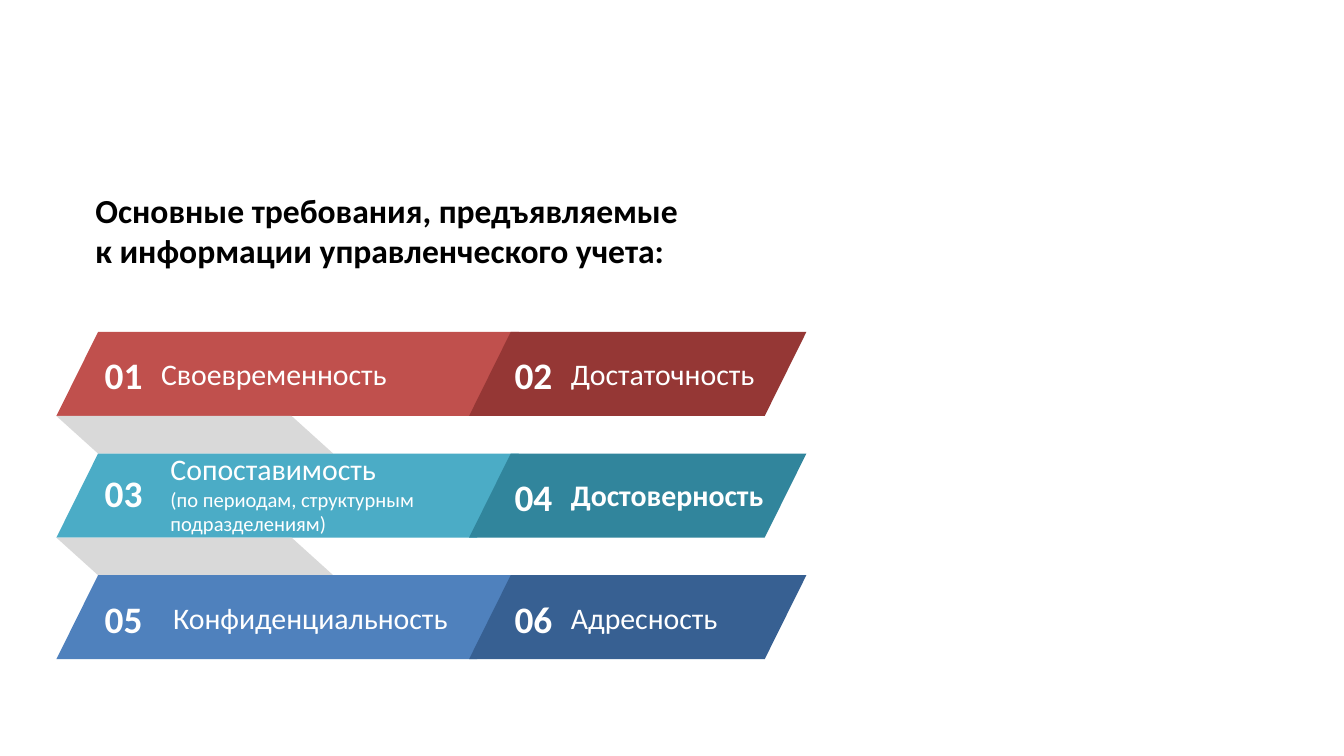
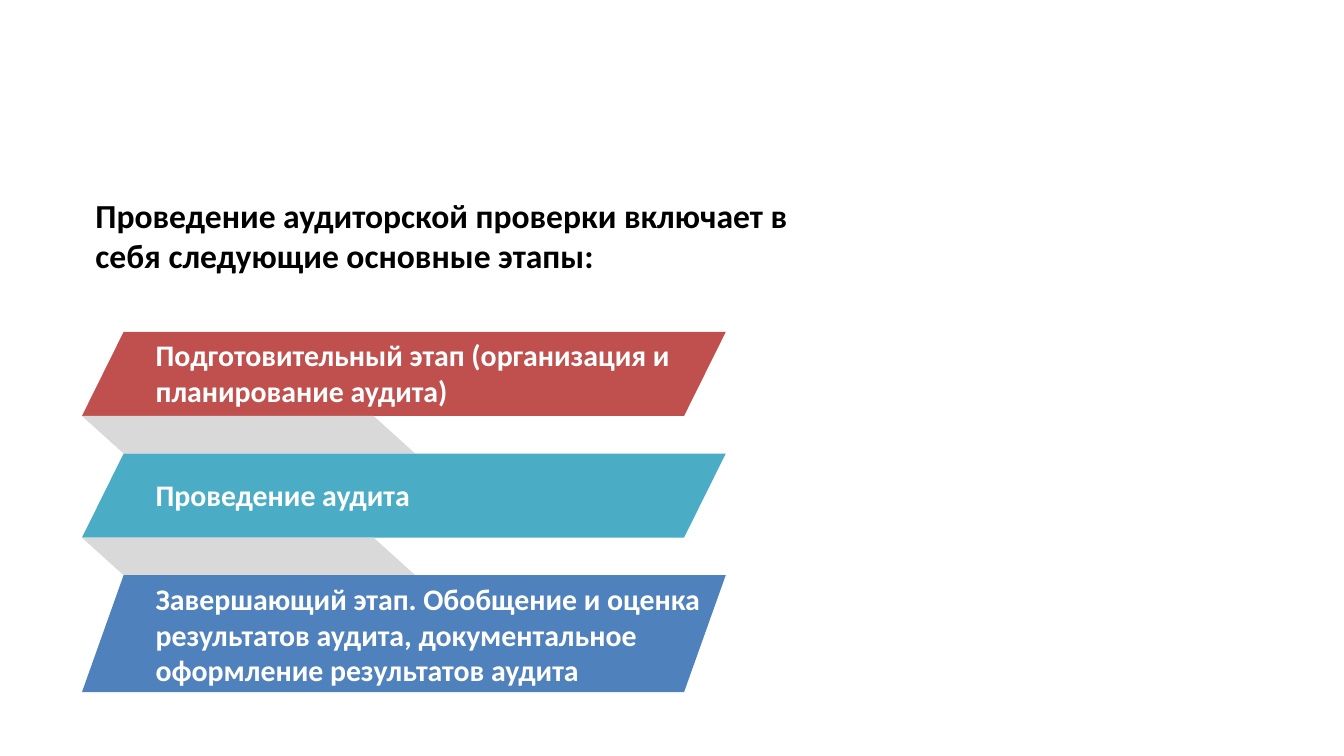
from lxml import etree
from pptx import Presentation
from pptx.dml.color import RGBColor
from pptx.enum.shapes import MSO_SHAPE
from pptx.enum.text import MSO_ANCHOR, MSO_AUTO_SIZE, PP_ALIGN
from pptx.oxml.ns import qn
from pptx.util import Inches, Pt

PARALLELOGRAM = MSO_SHAPE.PARALLELOGRAM
TOP, MIDDLE, BOTTOM = MSO_ANCHOR.TOP, MSO_ANCHOR.MIDDLE, MSO_ANCHOR.BOTTOM
LEFT, CENTER = PP_ALIGN.LEFT, PP_ALIGN.CENTER
FIT, NO_FIT = MSO_AUTO_SIZE.SHAPE_TO_FIT_TEXT, MSO_AUTO_SIZE.NONE

FONT = "Calibri"
COLORS = {
    "text": "000000", "white": "FFFFFF", "fold": "D9D9D9",
    "red": "C0504D", "teal": "4BACC6", "blue": "4F81BD",
    "dark_red": "953735", "dark_teal": "31859C", "dark_blue": "376092",
}
ROW_COLORS = ["red", "teal", "blue"]

# Shared geometry, in inches; the slide is 16:9
SLIDE_W = 10
SLIDE_H = SLIDE_W * 9 / 16
TITLE_BOX = (0.61, 1.4, 5.57, 0.66)
BANDS_TOP, BAR_H, GAP, SKEW = 2.47, SLIDE_H / 9, 0.28, 0.31


def box_emu(box):
    return [Inches(v) for v in box]


def write(tf, text, size=16, bold=False, color="white", align=LEFT,
          anchor=TOP, fit=FIT, note=None, note_size=11):
    """Fill a text frame; a line feed in text becomes a line break."""
    tf.word_wrap = True
    tf.auto_size = fit
    tf.vertical_anchor = anchor
    for i, (words, pt) in enumerate([(text, size), (note, note_size)]):
        if not words:
            continue
        p = tf.add_paragraph() if i else tf.paragraphs[0]
        p.alignment = align
        for j, line in enumerate(words.split("\n")):
            if j:
                p.add_line_break()
                etree.SubElement(p._p[-1], qn("a:rPr"), sz=str(pt * 100))
            r = p.add_run()
            r.text = line
            r.font.name, r.font.size, r.font.bold = FONT, Pt(pt), bold
            r.font.color.rgb = RGBColor.from_string(COLORS[color])


def add_text(s, box, text, **fmt):
    write(s.shapes.add_textbox(*box_emu(box)).text_frame, text, **fmt)


def add_title(s, text, anchor):
    title = s.shapes.title
    title.left, title.top, title.width, title.height = box_emu(TITLE_BOX)
    write(title.text_frame, text, size=18, bold=True, color="text",
          anchor=anchor, fit=NO_FIT)


def add_slanted(s, box, color, flip=False):
    """Parallelogram with the same slant offset at any height."""
    sp = s.shapes.add_shape(PARALLELOGRAM, *box_emu(box))
    sp.adjustments[0] = SKEW / box[3]
    sp.shadow.inherit = False
    sp.fill.solid()
    sp.fill.fore_color.rgb = RGBColor.from_string(COLORS[color])
    sp.line.fill.background()
    if flip:
        sp._element.spPr.find(qn("a:xfrm")).set("flipH", "1")


def add_ribbon(s, x, bar_w, fold_w, last_h=BAR_H):
    """Three bars joined by grey folds; returns the tops of the bars."""
    tops = [BANDS_TOP + i * (BAR_H + GAP) for i in range(len(ROW_COLORS))]
    for y, color in zip(tops, ROW_COLORS):
        last = y == tops[-1]
        add_slanted(s, (x, y, bar_w, last_h if last else BAR_H), color)
        if not last:
            add_slanted(s, (x, y + BAR_H, fold_w, GAP), "fold", flip=True)
    return tops


def add_numbered(s, x, y, number, text, num_dy, label_box, **fmt):
    """Number and label, both placed relative to x and the bar's top."""
    add_text(s, (x, y + num_dy, 0.54, 0.44), number, size=20, bold=True,
             align=CENTER, anchor=MIDDLE)
    dx, dy, w, h = label_box
    add_text(s, (x + dx, y + dy, w, h), text, **fmt)


def requirements_slide(s):
    add_title(s, "Основные требования, предъявляемые\n"
                 "к информации управленческого учета:", BOTTOM)
    tops = add_ribbon(s, 0.42, 3.44, 2.06)
    for y, color in zip(tops, ROW_COLORS):
        add_slanted(s, (3.49, y, 2.51, BAR_H), "dark_" + color)

    # Each label: text, drop of the number, box of the label, format
    left = [
        ("Своевременность", 0.1, (0.45, 0.13, 2.13, 0.37), {}),
        ("Сопоставимость", 0.07, (0.52, -0.07, 2.19, 0.93),
         {"note": "(по периодам, структурным подразделениям)"}),
        ("Конфиденциальность", 0.1, (0.54, 0.13, 2.3, 0.64), {}),
    ]
    right = [
        ("Достаточность", 0.1, (0.45, 0.13, 2.13, 0.37), {}),
        ("Достоверность", 0.1, (0.45, 0.12, 2.13, 0.37), {"bold": True}),
        ("Адресность", 0.1, (0.45, 0.13, 2.3, 0.37), {}),
    ]
    for col, (x, items) in enumerate([(0.65, left), (3.7, right)]):
        for row, (text, num_dy, label_box, fmt) in enumerate(items):
            number = f"{2 * row + col + 1:02d}"
            add_numbered(s, x, tops[row], number, text, num_dy, label_box,
                         **fmt)


def stages_slide(s):
    x = 0.61
    tops = add_ribbon(s, x, 4.79, 2.48, last_h=0.87)
    add_title(s, "Проведение аудиторской проверки включает в себя "
                 "следующие основные этапы:", TOP)
    # Each stage: text, drop below the bar's top, height
    stages = [
        ("Подготовительный этап (организация и планирование аудита)",
         -0.01, 0.64),
        ("Проведение аудита", 0.12, 0.37),
        ("Завершающий этап. Обобщение и оценка результатов аудита, "
         "документальное оформление результатов аудита", -0.01, 0.91),
    ]
    for y, (text, dy, h) in zip(tops, stages):
        add_text(s, (x + 0.45, y + dy, 4.98, h), text, bold=True)


def main():
    prs = Presentation()
    prs.slide_width, prs.slide_height = Inches(SLIDE_W), Inches(SLIDE_H)
    title_only = prs.slide_layouts[5]
    for build in (requirements_slide, stages_slide):
        build(prs.slides.add_slide(title_only))
    prs.save("out.pptx")


if __name__ == "__main__":
    main()
